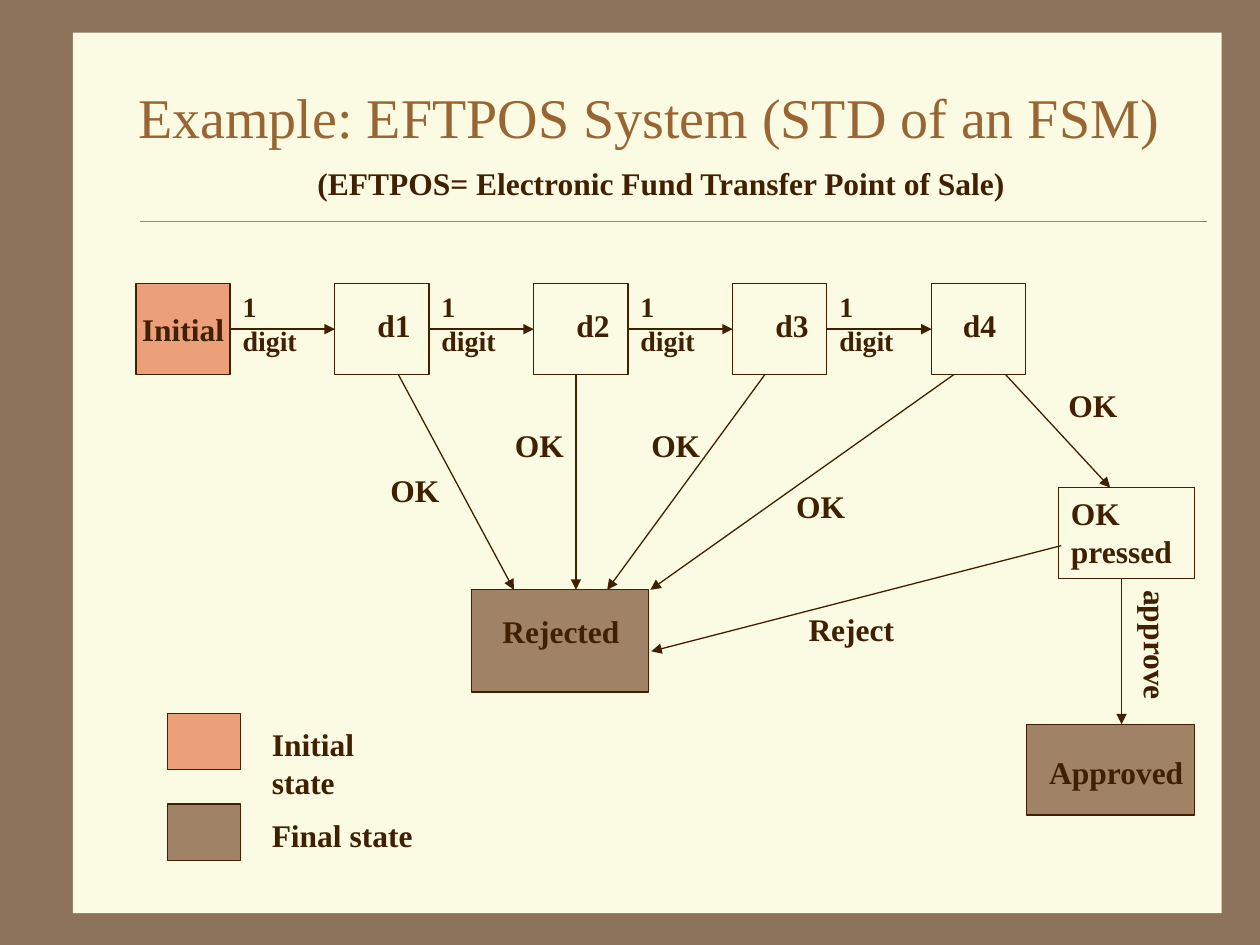
from pptx import Presentation
from pptx.dml.color import RGBColor
from pptx.enum.shapes import MSO_CONNECTOR as Line, MSO_SHAPE as Kind
from pptx.enum.text import MSO_ANCHOR as Anchor, PP_ALIGN as Align
from pptx.oxml.ns import qn
from pptx.util import Cm, Pt
from lxml.etree import SubElement

FONT = "Times New Roman"
EDGE = RGBColor(0x8C, 0x73, 0x5A)
CREAM = RGBColor(0xFB, 0xFA, 0xE2)
DARK = RGBColor(0x40, 0x20, 0x00)
BROWN = RGBColor(0x99, 0x66, 0x33)
PEACH = RGBColor(0xEC, 0xA0, 0x7A)
TAN = RGBColor(0xA0, 0x83, 0x66)

# Content, all lengths in cm
TITLE = "Example: EFTPOS System (STD of an FSM)"
SUB = "(EFTPOS= Electronic Fund Transfer Point of Sale)"

# Row of states: name, offset of the name in its box
ROW = [("Initial", None), ("d1", 0.61), ("d2", 0.61), ("d3", 0.61), ("d4", 0.38)]
LEFT, TOP, STEP, WIDE, HIGH = 2.74, 5.72, 4.01, 1.9, 1.83
BASE = TOP + HIGH
REJ_TOP, OK_TOP, APP_TOP = 11.89, 9.83, 14.6

# Other boxes: left, top, width, height, fill
BOXES = [
    (21.34, OK_TOP, 2.74, HIGH, None),
    (20.7, APP_TOP, 3.38, HIGH, TAN),
    (9.5, REJ_TOP, 3.58, 2.06, TAN),
]

# Arrows: start x, y, end x, y
ARROWS = [
    (20.27, BASE, 22.38, OK_TOP),
    (22.61, OK_TOP + HIGH, 22.61, APP_TOP),
    (19.23, BASE, 13.11, REJ_TOP),
    (15.42, BASE, 12.24, REJ_TOP),
    (11.61, BASE, 11.61, REJ_TOP),
    (8.03, BASE, 10.36, REJ_TOP),
    (21.39, 11, 13.13, 13.13),
]

# Labels: text, left, top, width, turn
LABELS = [
    (SUB, 6.15, 3.18, 14.45, 0),
    ("OK\npressed", 21.34, OK_TOP, 2.54, 0),
    ("Approved", 20.9, 15.06, 3.23, 0),
    ("Rejected", 9.88, 12.22, 2.87, 0),
    ("Reject", 16.05, 12.17, 2.24, 0),
    ("approve", 21.95, 12.5, 2.72, 90),
]
OKS = [(21.29, 7.65), (15.8, 9.7), (12.88, 8.46), (10.13, 8.46), (7.62, 9.37)]

# Legend: text, fill, text width
LEGEND = [("Initial state", PEACH, 3.58), ("Final state", TAN, 3.35)]

prs = Presentation()
prs.slide_width, prs.slide_height = Cm(25.4), Cm(19.05)
slide = prs.slides.add_slide(prs.slide_layouts[6])
slide.background.fill.solid()
slide.background.fill.fore_color.rgb = EDGE
shapes = slide.shapes


def write(frame, text, size=18, color=DARK, bold=True, align=Align.LEFT):
    frame.word_wrap = False
    for i, part in enumerate(text.split("\n")):
        para = frame.add_paragraph() if i else frame.paragraphs[0]
        para.alignment = align
        run = para.add_run()
        run.text = part
        font = run.font
        font.name, font.size, font.bold = FONT, Pt(size), bold
        font.color.rgb = color


def label(text, x, y, w, turn=0, h=1.02, **look):
    box = shapes.add_textbox(Cm(x), Cm(y), Cm(w), Cm(h))
    box.rotation = turn
    write(box.text_frame, text, **look)
    return box


def rect(x, y, w, h, fill=None, edge=DARK):
    box = shapes.add_shape(Kind.RECTANGLE, Cm(x), Cm(y), Cm(w), Cm(h))
    box.shadow.inherit = False
    if fill is None:
        box.fill.background()
    else:
        box.fill.solid()
        box.fill.fore_color.rgb = fill
    if edge is None:
        box.line.fill.background()
    else:
        box.line.color.rgb = edge
        box.line.width = Pt(0.75)
    return box


def line(x1, y1, x2, y2, color=DARK, width=0.75, head=True):
    link = shapes.add_connector(Line.STRAIGHT, Cm(x1), Cm(y1), Cm(x2), Cm(y2))
    link.line.color.rgb = color
    link.line.width = Pt(width)
    if head:
        SubElement(link.line._get_or_add_ln(), qn("a:tailEnd"), type="triangle")
    SubElement(link._element.spPr, qn("a:effectLst"))
    return link


# Panel, rule and title
rect(1.47, 0.66, 23.16, 17.75, CREAM, None)
line(2.82, 4.45, 24.33, 4.45, TAN, 0.25, head=False)
title = label(TITLE, 2.54, 1.07, 21.59, h=2.54, size=32, color=BROWN, bold=False)
title.text_frame.word_wrap = True
title.text_frame.vertical_anchor = Anchor.MIDDLE

# Row of states, joined by digit arrows
last = None
for i, (name, shift) in enumerate(ROW):
    x = LEFT + i * STEP
    box = rect(x, TOP, WIDE, HIGH, None if i else PEACH)
    if last is None:
        write(box.text_frame, name, align=Align.CENTER)
        box.text_frame.vertical_anchor = Anchor.MIDDLE
    else:
        label(name, x + shift, TOP + 0.33, 1.17)
        label("1 digit", x - STEP + WIDE, TOP, 2.01, h=0.94, size=16)
        mid = TOP + HIGH / 2
        link = line(x - STEP + WIDE, mid, x, mid)
        link.begin_connect(last, 3)
        link.end_connect(box, 1)
    last = box

# Later states, arrows and labels
for box in BOXES:
    rect(*box)
for arrow in ARROWS:
    line(*arrow)
for item in LABELS:
    label(*item)
for x, y in OKS:
    label("OK", x, y, 1.5)

# Legend
for i, (text, fill, w) in enumerate(LEGEND):
    y = 14.38 + i * 1.83
    rect(3.38, y, 1.47, 1.14, fill)
    label(text, 5.23, y + 0.12, w)

prs.save("out.pptx")
